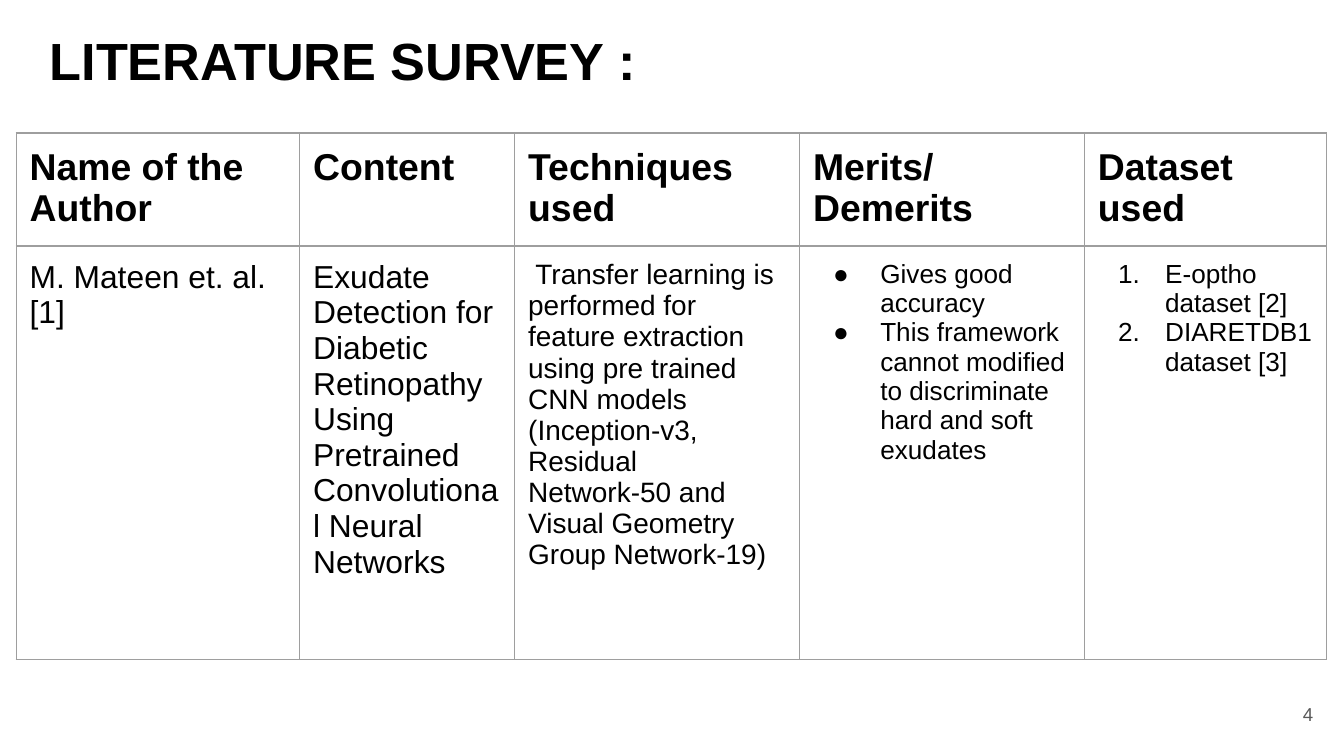
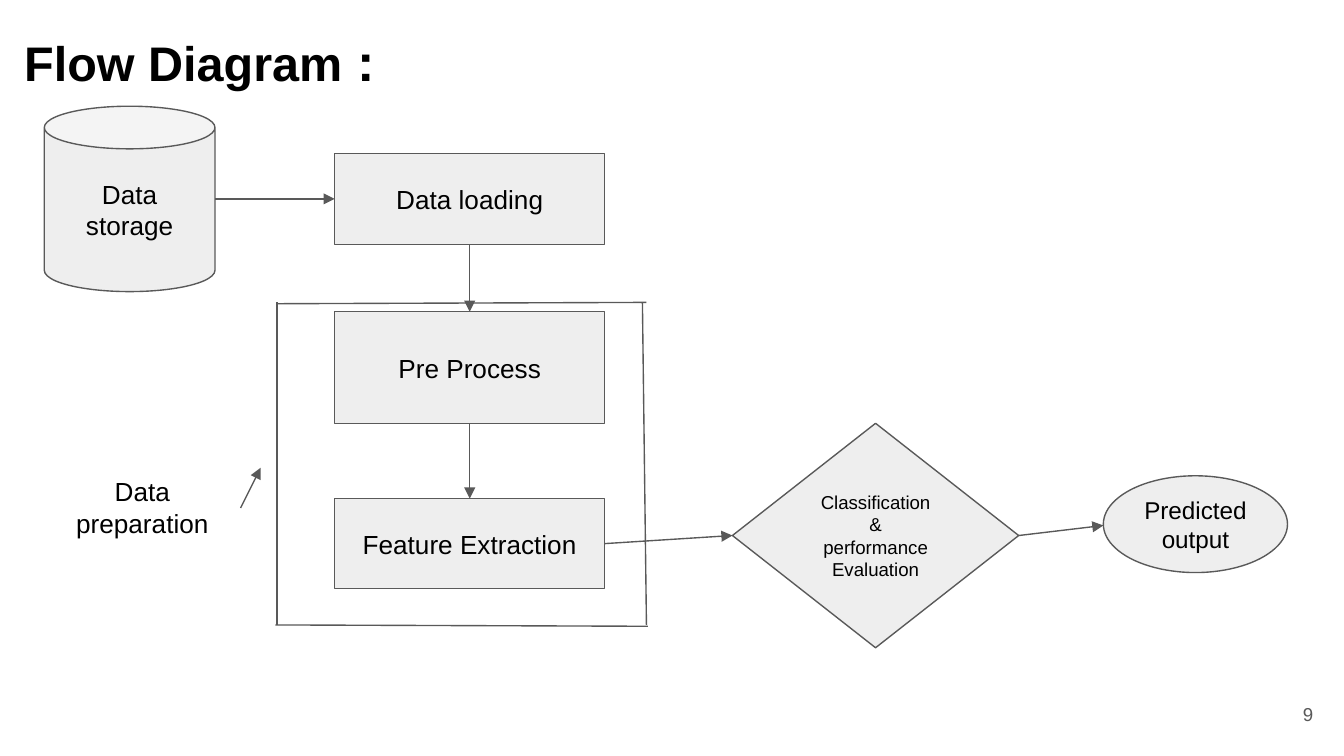
from lxml import etree
from pptx import Presentation
from pptx.dml.color import RGBColor
from pptx.enum import shapes, text
from pptx.oxml import ns
from pptx.util import Inches, Pt

BLACK = RGBColor(0x00, 0x00, 0x00)
WHITE = RGBColor(0xFF, 0xFF, 0xFF)
GREY = RGBColor(0x59, 0x59, 0x59)
LIGHT = RGBColor(0xEE, 0xEE, 0xEE)
BORDER = RGBColor(0x9E, 0x9E, 0x9E)
INSET = Inches(0.1)
MARGINS = ("margin_left", "margin_top", "margin_right", "margin_bottom")
CENTER, RIGHT = text.PP_ALIGN.CENTER, text.PP_ALIGN.RIGHT
TOP, MIDDLE = text.MSO_ANCHOR.TOP, text.MSO_ANCHOR.MIDDLE


def add_xml(parent, tag, **attributes):
    return etree.SubElement(parent, ns.qn(tag), attributes)


def write(frame, paragraphs, size, color=BLACK, bold=False, align=text.PP_ALIGN.LEFT):
    """Fill a frame; each paragraph is a string or a list of (text, size) runs."""
    for index, content in enumerate(paragraphs):
        paragraph = frame.paragraphs[0] if index == 0 else frame.add_paragraph()
        paragraph.alignment = align
        runs = [(content, size)] if isinstance(content, str) else content
        for words, run_size in runs:
            run = paragraph.add_run()
            run.text = words
            run.font.color.rgb = color
            font_format = {"name": "Arial", "size": Pt(run_size), "bold": bold}
            for name, value in font_format.items():
                setattr(run.font, name, value)


# Widescreen, 16:9
presentation = Presentation()
presentation.slide_width = Inches(10)
presentation.slide_height = Inches(10) * 9 // 16

# Slides with title and page number
pages = [
    ([("LITERATURE SURVEY :", 28)], (0.27, 0.11, 9.32, 0.72), "4"),
    ([("Flow Diagram", 26), (" :", 28)], (0.08, 0.12, 9.32, 0.52), "9"),
]
for title_runs, place, page_number in pages:
    slide = presentation.slides.add_slide(presentation.slide_layouts[5])
    slide.background.fill.solid()
    slide.background.fill.fore_color.rgb = WHITE
    title = slide.shapes.title
    title.left, title.top, title.width, title.height = map(Inches, place)
    number = slide.shapes.add_textbox(*map(Inches, (9.27, 5.1, 0.6, 0.43)))
    for shape, anchor in ((title, TOP), (number, MIDDLE)):
        frame_format = {"word_wrap": True, "auto_size": text.MSO_AUTO_SIZE.NONE,
                        "vertical_anchor": anchor, **dict.fromkeys(MARGINS, INSET)}
        for name, value in frame_format.items():
            setattr(shape.text_frame, name, value)
    write(title.text_frame, [title_runs], 28, bold=True)
    write(number.text_frame, [page_number], 10, GREY, align=RIGHT)

survey_slide, flow_slide = presentation.slides

# Literature survey table
headers = [["Name of the Author"], ["Content"], ["Techniques", "used"],
           ["Merits/ Demerits"], ["Dataset", "used"]]
entries = [
    ["M. Mateen et. al. [1]"],
    ["Exudate Detection for Diabetic Retinopathy Using Pretrained "
     "Convolutional Neural Networks"],
    [" Transfer learning is performed for feature extraction using pre trained "
     "CNN models (Inception-v3, Residual Network-50 and Visual Geometry "
     "Group Network-19)"],
    ["Gives good accuracy",
     "This framework cannot modified to discriminate hard and soft exudates"],
    ["E-optho dataset [2]", "DIARETDB1 dataset [3]"],
]
entry_sizes = [17, 17, 15, 14, 14]
list_marks = {3: ("a:buChar", {"char": "●"}),
              4: ("a:buAutoNum", {"type": "arabicPeriod"})}
column_widths = [2.11, 1.6, 2.12, 2.12, 1.8]
row_heights = [0.84, 3.08]

table = survey_slide.shapes.add_table(
    2, 5, Inches(0.12), Inches(0.99),
    Inches(sum(column_widths)), Inches(sum(row_heights))).table
for row, height in zip(table.rows, row_heights):
    row.height = Inches(height)
for index, width in enumerate(column_widths):
    table.columns[index].width = Inches(width)
    write(table.cell(0, index).text_frame, headers[index], 20, bold=True)
    write(table.cell(1, index).text_frame, entries[index], entry_sizes[index])
    if index in list_marks:
        tag, attributes = list_marks[index]
        for paragraph in table.cell(1, index).text_frame.paragraphs:
            properties = paragraph._p.get_or_add_pPr()
            properties.set("marL", str(Inches(0.5)))
            properties.set("indent", str(-Inches(0.35)))
            bullet_color = add_xml(properties, "a:buClr")
            add_xml(bullet_color, "a:srgbClr", val=str(BLACK))
            add_xml(properties, "a:buFont", typeface="Arial")
            add_xml(properties, tag, **attributes)

for cell in table.iter_cells():
    for name in MARGINS:
        setattr(cell, name, INSET)
    cell.vertical_anchor = TOP
    properties = cell._tc.get_or_add_tcPr()
    for side in ("a:lnL", "a:lnR", "a:lnT", "a:lnB"):
        border = add_xml(properties, side, w=str(Pt(0.75)))
        add_xml(add_xml(border, "a:solidFill"), "a:srgbClr", val=str(BORDER))
    cell.fill.background()

# Flow diagram nodes
kinds = shapes.MSO_SHAPE
nodes = {}
for label, kind, place, size in [
    ("Data storage", kinds.CAN, (0.33, 0.79, 1.27, 1.38), 14),
    ("Data loading", kinds.RECTANGLE, (2.49, 1.14, 2.01, 0.68), 14),
    ("Pre Process", kinds.RECTANGLE, (2.49, 2.32, 2.01, 0.83), 14),
    ("Feature Extraction", kinds.RECTANGLE, (2.49, 3.71, 2.01, 0.67), 14),
    ("Data preparation", None, (0.33, 3.44, 1.46, 0.67), 14),
    ("Classification & performance Evaluation", kinds.FLOWCHART_DECISION,
     (5.45, 3.15, 2.13, 1.67), 10),
    ("Predicted output", kinds.FLOWCHART_CONNECTOR, (8.21, 3.54, 1.37, 0.72), 13),
]:
    box = list(map(Inches, place))
    if kind is None:
        shape = flow_slide.shapes.add_textbox(*box)
    else:
        shape = flow_slide.shapes.add_shape(kind, *box)
        shape.shadow.inherit = False
        shape.fill.solid()
        shape.fill.fore_color.rgb = LIGHT
        shape.line.color.rgb = GREY
        shape.line.width = Pt(0.75)
    frame_format = {"word_wrap": True, "vertical_anchor": MIDDLE if kind else TOP,
                    **dict.fromkeys(MARGINS, INSET)}
    for name, value in frame_format.items():
        setattr(shape.text_frame, name, value)
    write(shape.text_frame, [label], size, align=CENTER)
    nodes[label] = shape

# Frame around data preparation, then arrows: start, end, arrowhead, joined sides
loading, process = nodes["Data loading"], nodes["Pre Process"]
extraction = nodes["Feature Extraction"]
decision = nodes["Classification & performance Evaluation"]
for start, end, arrow, begin_joint, end_joint in [
    ((2.06, 2.25), (2.06, 4.65), False, None, None),
    ((2.06, 2.26), (4.81, 2.25), False, None, None),
    ((4.78, 2.25), (4.81, 4.65), False, None, None),
    ((2.05, 4.65), (4.82, 4.66), False, None, None),
    ((1.6, 1.48), (2.49, 1.48), True, None, (loading, 1)),
    ((3.5, 1.82), (3.5, 2.32), True, (loading, 2), (process, 0)),
    ((3.5, 3.15), (3.5, 3.71), True, (process, 2), (extraction, 0)),
    ((4.5, 4.04), (5.45, 3.98), True, (extraction, 3), (decision, 1)),
    ((1.79, 3.78), (1.94, 3.48), True, None, None),
    ((7.58, 3.98), (8.21, 3.91), True, (decision, 3), None),
]:
    connector = flow_slide.shapes.add_connector(
        shapes.MSO_CONNECTOR.STRAIGHT, *map(Inches, start + end))
    connector.line.color.rgb = GREY
    connector.line.width = Pt(0.75)
    if arrow:
        add_xml(connector.line._get_or_add_ln(), "a:tailEnd", type="triangle")
    add_xml(connector._element.spPr, "a:effectLst")
    if begin_joint:
        connector.begin_connect(*begin_joint)
    if end_joint:
        connector.end_connect(*end_joint)

presentation.save("out.pptx")
